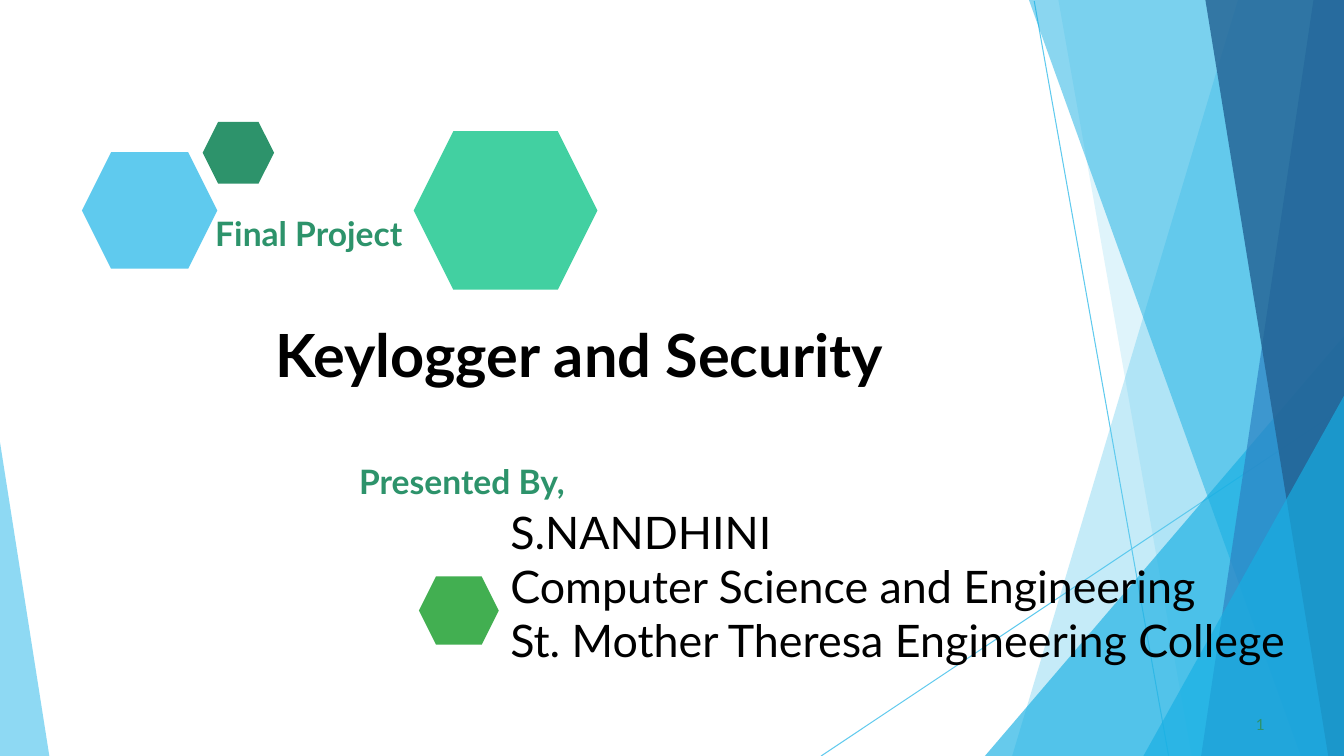
from lxml import etree
from pptx import Presentation
from pptx import util as u
from pptx.dml.color import RGBColor
from pptx.enum import shapes, text
from pptx.oxml.ns import qn

PX = 9525
WIDTH, HEIGHT = 1280, 720
SKY, AZURE, GREEN, BLACK = "5FCAEE", "17AFE3", "2D936B", "000000"


def px(n):
    """Turn pixels into EMU."""
    return u.Emu(n * PX)


def rgb(color):
    """Turn a hex string into a colour."""
    return RGBColor.from_string(color)


def paint(sp, color, alpha=100):
    """Give a shape a flat fill of the given opacity, with no line or shadow."""
    sp.shadow.inherit = False
    sp.line.fill.background()
    sp.fill.solid()
    sp.fill.fore_color.rgb = rgb(color)
    if alpha < 100:
        clr = sp._element.spPr.find(qn("a:solidFill"))[0]
        etree.SubElement(clr, qn("a:alpha")).set("val", str(alpha * 1000))


def add_facet(s, points, color, alpha):
    """Draw a translucent polygon."""
    builder = s.shapes.build_freeform(*points[0], scale=PX)
    builder.add_line_segments(points[1:], close=True)
    paint(builder.convert_to_shape(), color, alpha)


def add_band(s, top, bottom, color, alpha):
    """Draw a full-height facet that reaches the right edge."""
    add_facet(s, [(WIDTH, 0), (top, 0), (bottom, HEIGHT), (WIDTH, HEIGHT)], color, alpha)


def add_corner(s, y, x, color, alpha):
    """Draw a triangle in the bottom right corner."""
    add_facet(s, [(WIDTH, y), (x, HEIGHT), (WIDTH, HEIGHT)], color, alpha)


def add_line(s, x1, y1, x2, y2):
    """Draw a thin straight line."""
    line = s.shapes.add_connector(shapes.MSO_CONNECTOR.STRAIGHT, px(x1), px(y1), px(x2), px(y2))
    line.line.color.rgb = rgb(SKY)
    line.line.width = u.Pt(0.75)
    etree.SubElement(line._element.spPr, qn("a:effectLst"))


def add_hexagon(s, x, y, w, h, color):
    """Draw a plain hexagon."""
    sp = s.shapes.add_shape(shapes.MSO_SHAPE.HEXAGON, px(x), px(y), px(w), px(h))
    paint(sp, color)


def write(sp, box, words, size, color, bold=False, before=1):
    """Place a text shape and set its words and format."""
    sp.left, sp.top, sp.width, sp.height = map(px, box)
    tf = sp.text_frame
    tf.word_wrap = True
    tf.auto_size = text.MSO_AUTO_SIZE.NONE
    tf.vertical_anchor = text.MSO_ANCHOR.TOP
    tf.margin_left = tf.margin_right = tf.margin_bottom = 0
    tf.margin_top = px(1)
    p = tf.paragraphs[0]
    p.text = words
    p.alignment = text.PP_ALIGN.LEFT
    p.space_before = u.Pt(before)
    for r in p.runs:
        r.font.name = "Lato"
        r.font.size = u.Pt(size)
        r.font.bold = bold
        r.font.color.rgb = rgb(color)


def add_text(s, box, *style, **options):
    """Add a text box."""
    write(s.shapes.add_textbox(0, 0, 0, 0), box, *style, **options)


def add_backdrop(s):
    """Draw the lines and facets at the slide's edges."""
    add_line(s, 985, 1, 1113, HEIGHT)
    add_line(s, WIDTH, 388, 782, HEIGHT)
    add_band(s, 1179, 964, SKY, 36)
    add_band(s, 1008, 1135, SKY, 20)
    add_corner(s, 320, 938, AZURE, 66)
    add_band(s, 980, 1239, AZURE, 50)
    add_band(s, 1251, 1144, "2D83C3", 70)
    add_band(s, 1148, 1265, "226192", 80)
    add_corner(s, 377, 1089, AZURE, 66)
    add_facet(s, [(0, 421), (0, HEIGHT), (47, HEIGHT)], SKY, 70)


def main():
    """Build the slide and save it."""
    prs = Presentation()
    prs.slide_width, prs.slide_height = px(WIDTH), px(HEIGHT)
    s = prs.slides.add_slide(prs.slide_layouts[5])
    add_backdrop(s)
    add_hexagon(s, 78, 145, 129, 111, SKY)
    add_hexagon(s, 193, 116, 68, 59, GREEN)
    add_hexagon(s, 394, 125, 175, 151, "42D0A1")
    add_hexagon(s, 399, 549, 76, 65, "42AF51")
    write(s.shapes.title, (262, 302, 651, 70), "Keylogger and Security", 42.5, BLACK, bold=True)
    add_text(s, (205, 202, 194, 41), "Final Project", 24, GREEN, bold=True)
    add_text(s, (342, 438, 216, 40), "Presented By,", 24, GREEN, bold=True)
    presenter = "S.NANDHINI\vComputer Science and Engineering\vSt. Mother Theresa Engineering College"
    add_text(s, (486, 480, 756, 156), presenter, 32, BLACK)
    add_text(s, (1196, 680, 16, 20), "1", 11, GREEN)
    prs.save("out.pptx")


if __name__ == "__main__":
    main()
